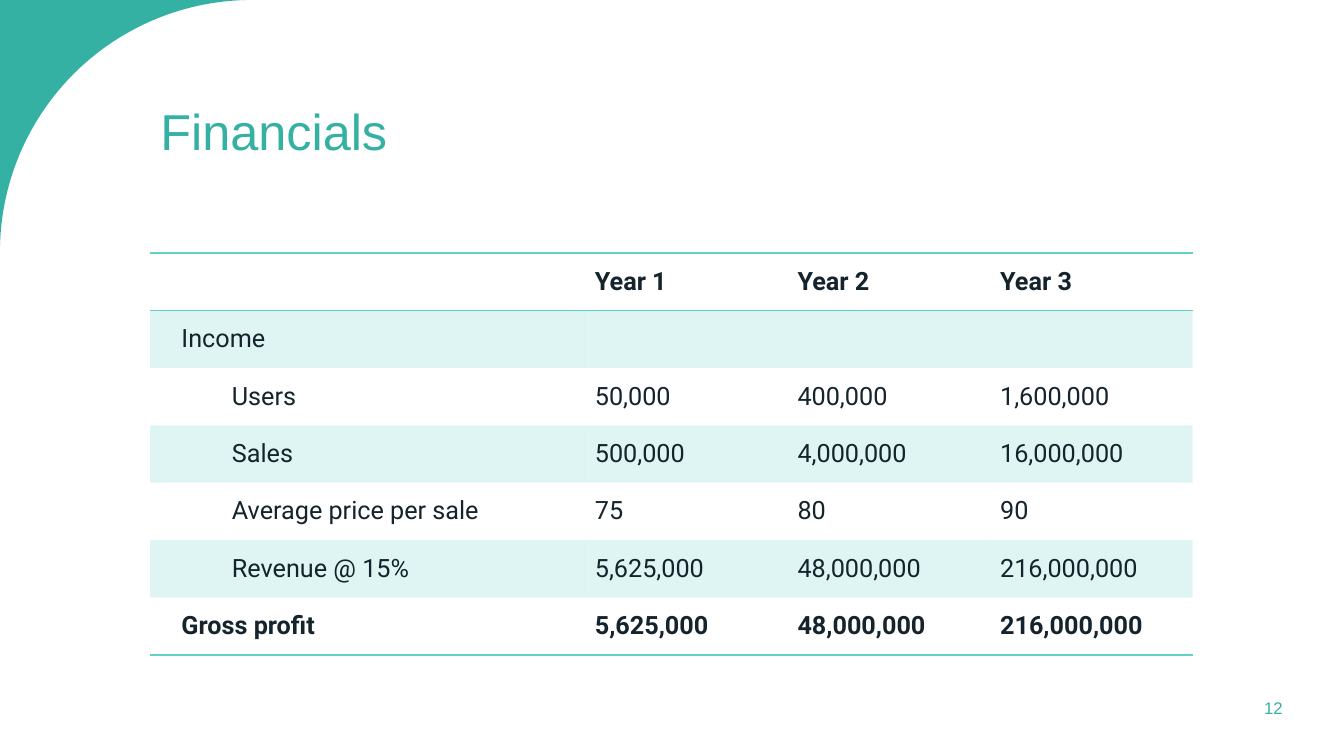
import math

import pptx
import pptx.dml.color
import pptx.enum.text
import pptx.oxml
import pptx.oxml.ns
import pptx.util
from pptx.util import Inches

TEAL, MINT, INK = "35B1A3", "63D0C4", "15242C"
NO_STYLE = "{2D5ABB26-0587-4C30-8999-92F81FD0307C}"
MIDDLE = pptx.enum.text.MSO_ANCHOR.MIDDLE

COLUMN_WIDTHS = [4.31, 2.01, 2.01, 2.01]
ROW_HEIGHT = 0.57
FINANCIALS = [
    ["", "Year 1", "Year 2", "Year 3"],
    ["Income", "", "", ""],
    ["Users", "50,000", "400,000", "1,600,000"],
    ["Sales", "500,000", "4,000,000", "16,000,000"],
    ["Average price per sale", "75", "80", "90"],
    ["Revenue @ 15%", "5,625,000", "48,000,000", "216,000,000"],
    ["Gross profit", "5,625,000", "48,000,000", "216,000,000"],
]
HEADER, INCOME, GROSS_PROFIT = 0, 1, len(FINANCIALS) - 1


def rgb(value):
    return pptx.dml.color.RGBColor.from_string(value)


def add_run(paragraph, text, font, size, color, bold=False):
    run = paragraph.add_run()
    run.text = text
    run.font.name = font
    run.font.size = pptx.util.Pt(size)
    run.font.color.rgb = rgb(color)
    run.font.bold = bold


def add_corner(slide, radius):
    """Fill the area between the slide's corner and a quarter circle."""
    steps = 90
    angles = [math.pi / 2 * step / steps for step in range(steps + 1)]
    arc = [(Inches(radius * (1 - math.sin(angle))),
            Inches(radius * (1 - math.cos(angle)))) for angle in angles]
    builder = slide.shapes.build_freeform(0, 0)
    builder.add_line_segments(arc, close=True)
    corner = builder.convert_to_shape()
    corner.shadow.inherit = False
    corner.fill.solid()
    corner.fill.fore_color.rgb = rgb(TEAL)
    corner.line.fill.background()


def set_title(slide, text):
    title = slide.shapes.title
    title.left, title.top = Inches(1.49), Inches(0.38)
    title.width, title.height = Inches(10.33), Inches(1.91)
    title.text_frame.vertical_anchor = MIDDLE
    paragraph = title.text_frame.paragraphs[0]
    paragraph.alignment = pptx.enum.text.PP_ALIGN.LEFT
    paragraph.line_spacing = 0.9
    add_run(paragraph, text, "Arial", 36, TEAL)


def add_border(cell, side, color):
    namespace = pptx.oxml.ns.nsdecls("a")
    cell._tc.get_or_add_tcPr().append(pptx.oxml.parse_xml(
        f'<a:ln{side} {namespace} w="12700"><a:solidFill>'
        f'<a:srgbClr val="{color}"/></a:solidFill></a:ln{side}>'))


def fill_cell(cell, color, percent):
    cell.fill.solid()
    cell.fill.fore_color.rgb = rgb(color)
    color_element = cell._tc.tcPr.find(".//" + pptx.oxml.ns.qn("a:srgbClr"))
    color_element.append(pptx.oxml.parse_xml(
        f'<a:alpha {pptx.oxml.ns.nsdecls("a")} val="{percent * 1000}"/>'))


def format_cell(cell, text, row, column):
    # Borders come before the fill in the cell's properties
    if row == HEADER:
        add_border(cell, "T", MINT)
    if row in (HEADER, GROSS_PROFIT):
        add_border(cell, "B", MINT)
    if row % 2:
        fill_cell(cell, MINT, 20)
    else:
        cell.fill.background()

    cell.vertical_anchor = MIDDLE
    paragraph = cell.text_frame.paragraphs[0]
    paragraph.font.size = pptx.util.Pt(18)
    if column == 0 and row != HEADER:
        cell.margin_left = Inches(0.31)
        if INCOME < row < GROSS_PROFIT:
            paragraph.level = 1
            properties = paragraph._p.get_or_add_pPr()
            properties.set("marL", str(Inches(0.5)))
            properties.set("indent", "0")
    if text:
        add_run(paragraph, text, "Roboto", 18, INK,
                bold=row in (HEADER, GROSS_PROFIT))


def add_financial_table(slide):
    frame = slide.shapes.add_table(
        len(FINANCIALS), len(COLUMN_WIDTHS), Inches(1.49), Inches(2.51),
        Inches(sum(COLUMN_WIDTHS)), Inches(ROW_HEIGHT * len(FINANCIALS)))
    table = frame.table
    table.first_row = table.horz_banding = False
    table._tbl.tblPr.find(pptx.oxml.ns.qn("a:tableStyleId")).text = NO_STYLE
    for column, width in zip(table.columns, COLUMN_WIDTHS):
        column.width = Inches(width)
    for row, texts in enumerate(FINANCIALS):
        table.rows[row].height = Inches(ROW_HEIGHT)
        for column, text in enumerate(texts):
            format_cell(table.cell(row, column), text, row, column)


def add_slide_number(slide, text):
    box = slide.shapes.add_textbox(
        Inches(11.92), Inches(6.54), Inches(1.42), Inches(0.96))
    box.text_frame.word_wrap = True
    box.text_frame.vertical_anchor = MIDDLE
    paragraph = box.text_frame.paragraphs[0]
    paragraph.alignment = pptx.enum.text.PP_ALIGN.CENTER
    add_run(paragraph, text, "Arial", 12, TEAL)


def main():
    presentation = pptx.Presentation()
    presentation.slide_width = Inches(13.33)
    presentation.slide_height = Inches(7.5)
    slide = presentation.slides.add_slide(presentation.slide_layouts[5])

    # Corner decoration and heading
    add_corner(slide, 2.5)
    set_title(slide, "Financials")

    # Figures by year
    add_financial_table(slide)

    # Footer
    add_slide_number(slide, "12")
    presentation.save("out.pptx")


if __name__ == "__main__":
    main()
